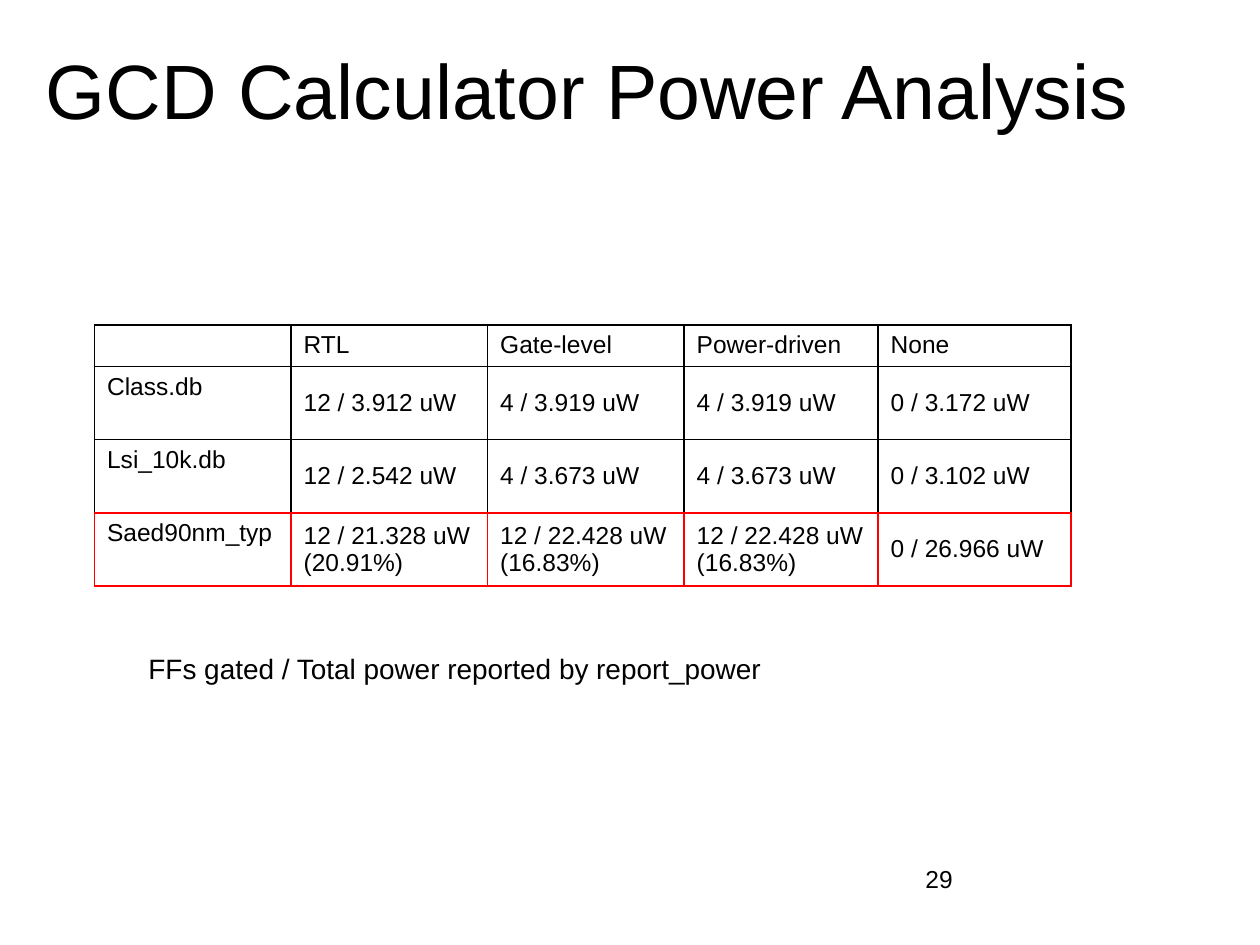
import pptx
import pptx.dml.color
import pptx.enum.text
import pptx.oxml
import pptx.oxml.ns
import pptx.util
from pptx.util import Inches

ANCHOR = pptx.enum.text.MSO_ANCHOR
ALIGN = pptx.enum.text.PP_ALIGN
AUTO_SIZE = pptx.enum.text.MSO_AUTO_SIZE

BLACK = "000000"
RED = "FF0000"

POWER_RESULTS = [
    ["", "RTL", "Gate-level", "Power-driven", "None"],
    ["Class.db", "12 / 3.912 uW", "4 / 3.919 uW", "4 / 3.919 uW", "0 / 3.172 uW"],
    ["Lsi_10k.db", "12 / 2.542 uW", "4 / 3.673 uW", "4 / 3.673 uW", "0 / 3.102 uW"],
    ["Saed90nm_typ", "12 / 21.328 uW (20.91%)", "12 / 22.428 uW\n(16.83%)",
     "12 / 22.428 uW\n(16.83%)", "0 / 26.966 uW"],
]
COLUMN_WIDTHS = [1.56, 1.56, 1.56, 1.54, 1.53]
ROW_HEIGHTS = [0.33, 0.58, 0.58, 0.58]


def color(hex_code):
    return pptx.dml.color.RGBColor.from_string(hex_code)


class SlideBuilder:
    font_name = "Arial"
    text_color = BLACK

    def __init__(self, slide):
        self.slide = slide

    def set_text(self, frame, text, size, align=ALIGN.LEFT):
        frame.text = text
        frame.word_wrap = True
        for paragraph in frame.paragraphs:
            paragraph.alignment = align
            paragraph.font.name = self.font_name
            paragraph.font.size = pptx.util.Pt(size)
            paragraph.font.color.rgb = color(self.text_color)

    def title(self, text, left, top, width, height):
        title = self.slide.shapes.title
        title.left, title.top = Inches(left), Inches(top)
        title.width, title.height = Inches(width), Inches(height)
        self.set_text(title.text_frame, text, 44, ALIGN.CENTER)
        title.text_frame.auto_size = AUTO_SIZE.NONE
        title.text_frame.vertical_anchor = ANCHOR.MIDDLE

    def text(self, text, left, top, width, height, size, align=ALIGN.LEFT):
        box = self.slide.shapes.add_textbox(
            Inches(left), Inches(top), Inches(width), Inches(height))
        self.set_text(box.text_frame, text, size, align)

    def borders(self, cell, **side_colors):
        """Draw 1 pt cell edges; sides are named L, R, T and B, in that order."""
        properties = cell._tc.get_or_add_tcPr()
        for position, (side, hex_code) in enumerate(side_colors.items()):
            properties.insert(position, pptx.oxml.parse_xml(
                f'<a:ln{side} {pptx.oxml.ns.nsdecls("a")} w="12700"><a:solidFill>'
                f'<a:srgbClr val="{hex_code}"/></a:solidFill></a:ln{side}>'))

    def table(self, rows, left, top, widths, heights, size):
        """Add a ruled table whose last row is outlined in red."""
        table = self.slide.shapes.add_table(
            len(rows), len(widths), Inches(left), Inches(top),
            Inches(sum(widths)), Inches(sum(heights))).table
        table.first_row = table.horz_banding = False
        for column, width in zip(table.columns, widths):
            column.width = Inches(width)
        last = len(rows) - 1
        for r, (values, height) in enumerate(zip(rows, heights)):
            table.rows[r].height = Inches(height)
            edge = RED if r == last else BLACK
            bottom = RED if r >= last - 1 else BLACK
            for c, value in enumerate(values):
                cell = table.cell(r, c)
                self.set_text(cell.text_frame, value, size)
                cell.vertical_anchor = ANCHOR.MIDDLE if r and c else ANCHOR.TOP
                cell.fill.background()
                self.borders(cell, L=edge, R=edge, T=edge, B=bottom)


def main():
    deck = pptx.Presentation()
    deck.slide_width, deck.slide_height = Inches(10), Inches(7.5)
    title_only = deck.slide_layouts[5]
    builder = SlideBuilder(deck.slides.add_slide(title_only))

    builder.title("GCD Calculator Power Analysis", 0, 0.08, 9.33, 1.25)
    builder.table(POWER_RESULTS, 0.75, 2.58, COLUMN_WIDTHS, ROW_HEIGHTS, 14)
    builder.text("FFs gated / Total power reported by report_power",
                 1.08, 5.12, 7.42, 0.37, 16)
    builder.text("29", 6.08, 6.81, 1.58, 0.52, 14, ALIGN.RIGHT)

    deck.save("out.pptx")


if __name__ == "__main__":
    main()
